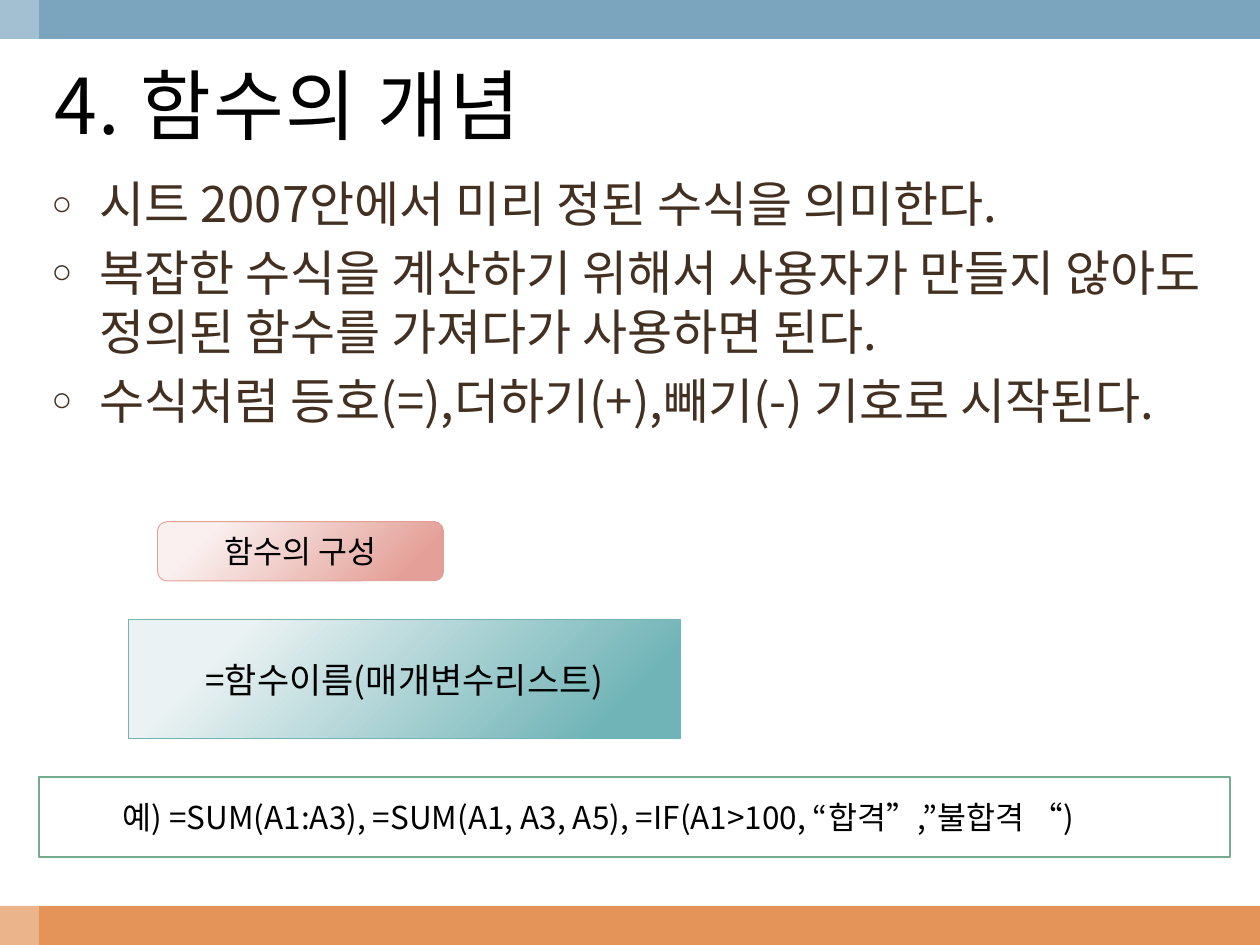
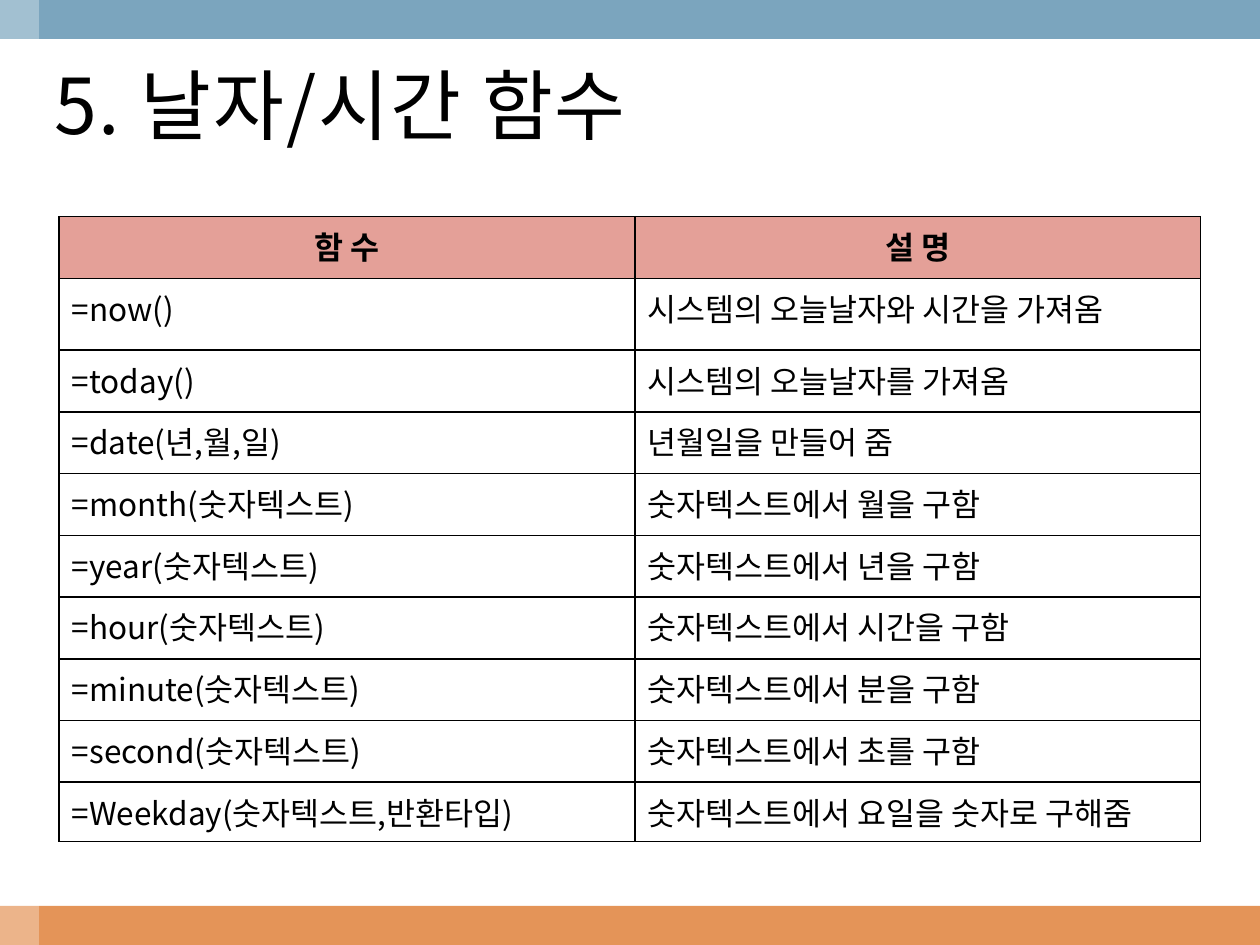
"""Builds two slides on spreadsheet functions."""
import dataclasses

import pptx
import pptx.dml.color
import pptx.enum.shapes
import pptx.enum.text
import pptx.oxml
import pptx.oxml.ns
import pptx.util
from pptx.util import Inches

SHAPE = pptx.enum.shapes.MSO_SHAPE
ALIGN = pptx.enum.text.PP_ALIGN
ANCHOR = pptx.enum.text.MSO_ANCHOR


@dataclasses.dataclass(frozen=True)
class Theme:
    """Colours, font and type sizes."""
    font: str = "Noto Sans CJK KR"
    black: str = "000000"
    white: str = "FFFFFF"
    brown: str = "433021"
    blue: str = "7BA5BE"
    orange: str = "E49458"
    pink: str = "E4A098"
    pale_pink: str = "FAF0EF"
    teal: str = "70B4B7"
    pale_teal: str = "EBF2F3"
    green: str = "74AD8D"
    title: int = 44
    body: int = 28
    formula: int = 20
    text: int = 18


def rgb(value):
    """Turn a hex string into a colour."""
    return pptx.dml.color.RGBColor.from_string(value)


def xml(parent, tag, **attrs):
    """Append a drawing element with attributes."""
    child = pptx.oxml.parse_xml(f"<a:{tag} {pptx.oxml.ns.nsdecls('a')}/>")
    for name, value in attrs.items():
        child.set(name, str(value))
    parent.append(child)
    return child


def add_text(p, text, *, font, size, color, bold=False, align=ALIGN.LEFT, spacing=0):
    """Add one formatted run to a paragraph."""
    p.alignment = align
    r = p.add_run()
    r.text = text
    r.font.name, r.font.size, r.font.bold = font, pptx.util.Pt(size), bold
    r.font.color.rgb = rgb(color)
    rpr = r.font._element
    xml(rpr, "ea", typeface=font)
    if spacing:
        rpr.set("spc", str(spacing))


class Deck:
    """Holds the style and the current slide."""

    def __init__(self, theme):
        """Start an empty presentation."""
        self.theme = theme
        self.prs = pptx.Presentation()
        self.prs.slide_width, self.prs.slide_height = Inches(10), Inches(7.5)
        self.s = None

    def text(self, p, text, **fmt):
        """Add text in the theme's default format."""
        t = self.theme
        add_text(p, text, **{"font": t.font, "size": t.text, "color": t.black, **fmt})

    def place(self, sp, left, top, width, height):
        """Move and size a shape in inches."""
        sp.left, sp.top, sp.width, sp.height = map(Inches, (left, top, width, height))

    def slide(self, title, layout):
        """Add a slide with its bands and title."""
        t = self.theme
        self.s = self.prs.slides.add_slide(self.prs.slide_layouts[layout])
        self.box((0, 7.19, 10, 0.31), t.orange)
        self.box((0, 0, 10, 0.31), t.blue)
        strip = self.box((0, 0, 0.31, 7.5), t.white)
        color = strip._element.spPr.find(".//" + pptx.oxml.ns.qn("a:srgbClr"))
        xml(color, "alpha", val=30000)
        sp = self.s.shapes.title
        self.place(sp, 0.33, 0.31, 9.36, 1.03)
        tf = sp.text_frame
        tf.auto_size = pptx.enum.text.MSO_AUTO_SIZE.NONE
        tf.vertical_anchor = ANCHOR.MIDDLE
        self.text(tf.paragraphs[0], title, size=t.title, spacing=100)

    def bullets(self, items, at):
        """Fill the body placeholder with a bulleted list."""
        t = self.theme
        sp = self.s.placeholders[1]
        self.place(sp, *at)
        tf = sp.text_frame
        tf.auto_size = pptx.enum.text.MSO_AUTO_SIZE.NONE
        for i, item in enumerate(items):
            p = tf.add_paragraph() if i else tf.paragraphs[0]
            self.text(p, item, size=t.body, color=t.brown)
            ppr = p._p.get_or_add_pPr()
            ppr.set("marL", str(Inches(0.38)))
            ppr.set("indent", str(Inches(-0.38)))
            xml(ppr, "buSzPct", val=70000)
            xml(ppr, "buChar", char="○")

    def box(self, at, fill, *, shape=SHAPE.RECTANGLE, fade=None, line=None,
            weight=0.5, text=None, size=None, right=0.1):
        """Add a plain or gradient box, with text if given."""
        sp = self.s.shapes.add_shape(shape, *map(Inches, at))
        sp.shadow.inherit = False
        if fade:
            sp.fill.gradient()
            sp.fill.gradient_angle = 315
            for stop, color, position in zip(sp.fill.gradient_stops, (fade, fill), (0.18, 0.87)):
                stop.color.rgb, stop.position = rgb(color), position
        else:
            sp.fill.solid()
            sp.fill.fore_color.rgb = rgb(fill)
        if line:
            sp.line.color.rgb = rgb(line)
            sp.line.width = pptx.util.Pt(weight)
        else:
            sp.line.fill.background()
        if text:
            tf = sp.text_frame
            tf.word_wrap = True
            tf.vertical_anchor = ANCHOR.MIDDLE
            tf.margin_right = Inches(right)
            self.text(tf.paragraphs[0], text, size=size or self.theme.text, align=ALIGN.CENTER)
        return sp

    def table(self, rows, at, widths, heights):
        """Add a ruled table with a coloured header row."""
        t = self.theme
        table = self.s.shapes.add_table(len(rows), len(widths), *map(Inches, at)).table
        for column, width in zip(table.columns, widths):
            column.width = Inches(width)
        for i, (row, height) in enumerate(zip(rows, heights)):
            table.rows[i].height = Inches(height)
            for j, text in enumerate(row):
                cell = table.cell(i, j)
                self.borders(cell)
                cell.fill.solid()
                cell.fill.fore_color.rgb = rgb(t.white if i else t.pink)
                self.text(cell.text_frame.paragraphs[0], text, bold=not i,
                          align=ALIGN.LEFT if i else ALIGN.CENTER)

    def borders(self, cell):
        """Rule all four sides of a cell."""
        tcpr = cell._tc.get_or_add_tcPr()
        for side in ("lnL", "lnR", "lnT", "lnB"):
            ln = xml(tcpr, side, w=pptx.util.Pt(1))
            xml(xml(ln, "solidFill"), "srgbClr", val=self.theme.black)


def concept(deck):
    """Build the slide on what a function is."""
    t = deck.theme
    deck.slide("4. 함수의 개념", 1)
    deck.bullets([
        "시트 2007안에서 미리 정된 수식을 의미한다.",
        "복잡한 수식을 계산하기 위해서 사용자가 만들지 않아도 정의된 함수를 가져다가 사용하면 된다.",
        "수식처럼 등호(=),더하기(+),빼기(-) 기호로 시작된다.",
    ], (0.31, 1.33, 9.45, 2.97))
    deck.box((1.25, 4.14, 2.27, 0.47), t.pink, shape=SHAPE.ROUNDED_RECTANGLE,
             fade=t.pale_pink, line=t.pink, text="함수의 구성")
    deck.box((1.02, 4.92, 4.38, 0.94), t.teal, fade=t.pale_teal, line=t.teal,
             text="=함수이름(매개변수리스트)", size=t.formula)
    deck.box((0.31, 6.17, 9.45, 0.63), t.white, line=t.green, weight=1.25, right=0.67,
             text="예) =SUM(A1:A3), =SUM(A1, A3, A5), =IF(A1>100, “합격”,”불합격 “)")


def date_time(deck):
    """Build the slide listing date and time functions."""
    deck.slide("5. 날자/시간 함수", 5)
    rows = [
        ("함 수", "설 명"),
        ("=now()", "시스템의 오늘날자와 시간을 가져옴"),
        ("=today()", "시스템의 오늘날자를 가져옴"),
        ("=date(년,월,일)", "년월일을 만들어 줌"),
    ]
    parts = {"month": "월을", "year": "년을", "hour": "시간을", "minute": "분을", "second": "초를"}
    rows += [(f"={name}(숫자텍스트)", f"숫자텍스트에서 {part} 구함") for name, part in parts.items()]
    rows.append(("=Weekday(숫자텍스트,반환타입)", "숫자텍스트에서 요일을 숫자로 구해줌"))
    heights = [0.49, 0.57] + [0.49] * 7 + [0.47]
    deck.table(rows, (0.47, 1.72, 9.06, 5), (4.57, 4.49), heights)


def main():
    """Build and save the deck."""
    deck = Deck(Theme())
    concept(deck)
    date_time(deck)
    deck.prs.save("out.pptx")


if __name__ == "__main__":
    main()
